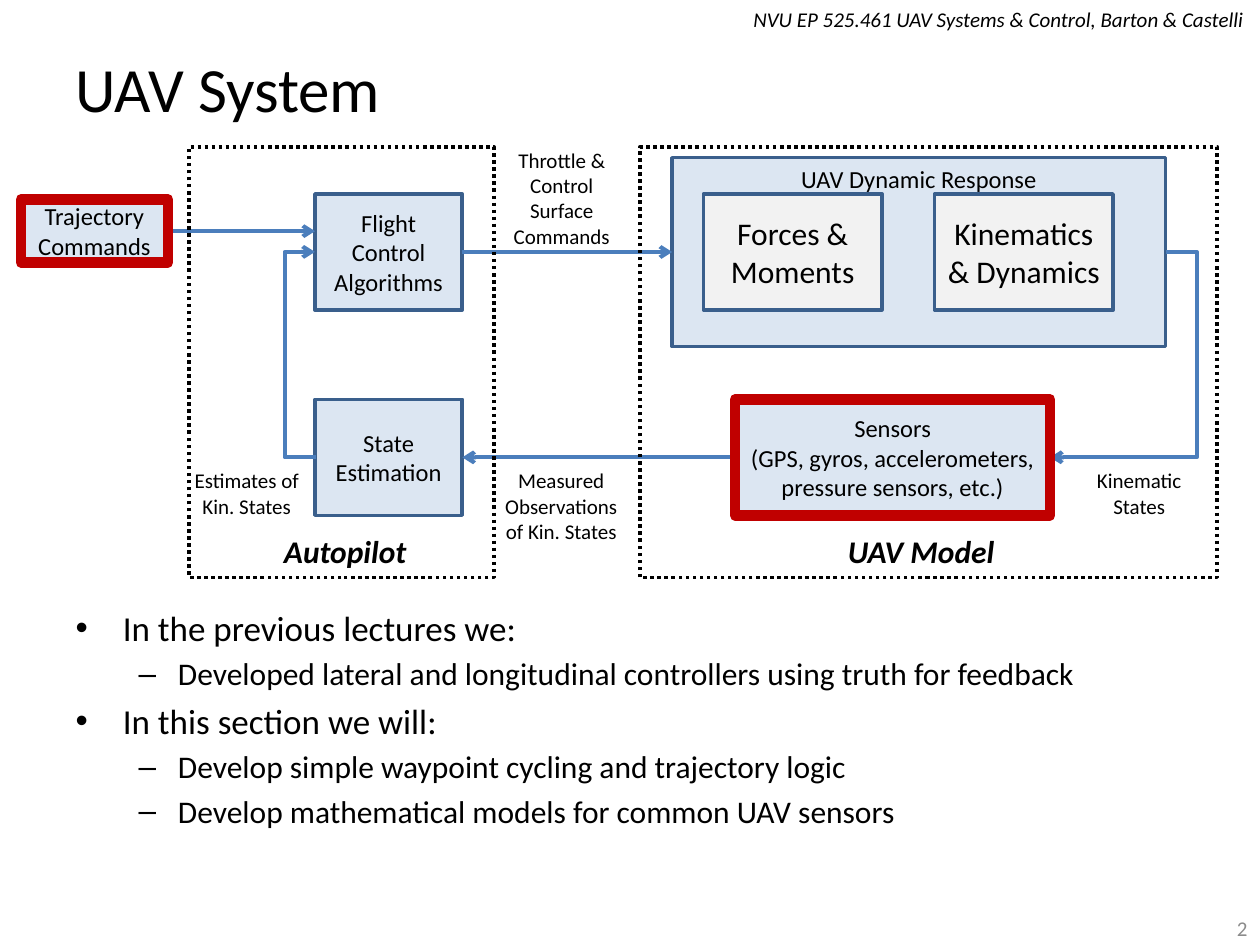
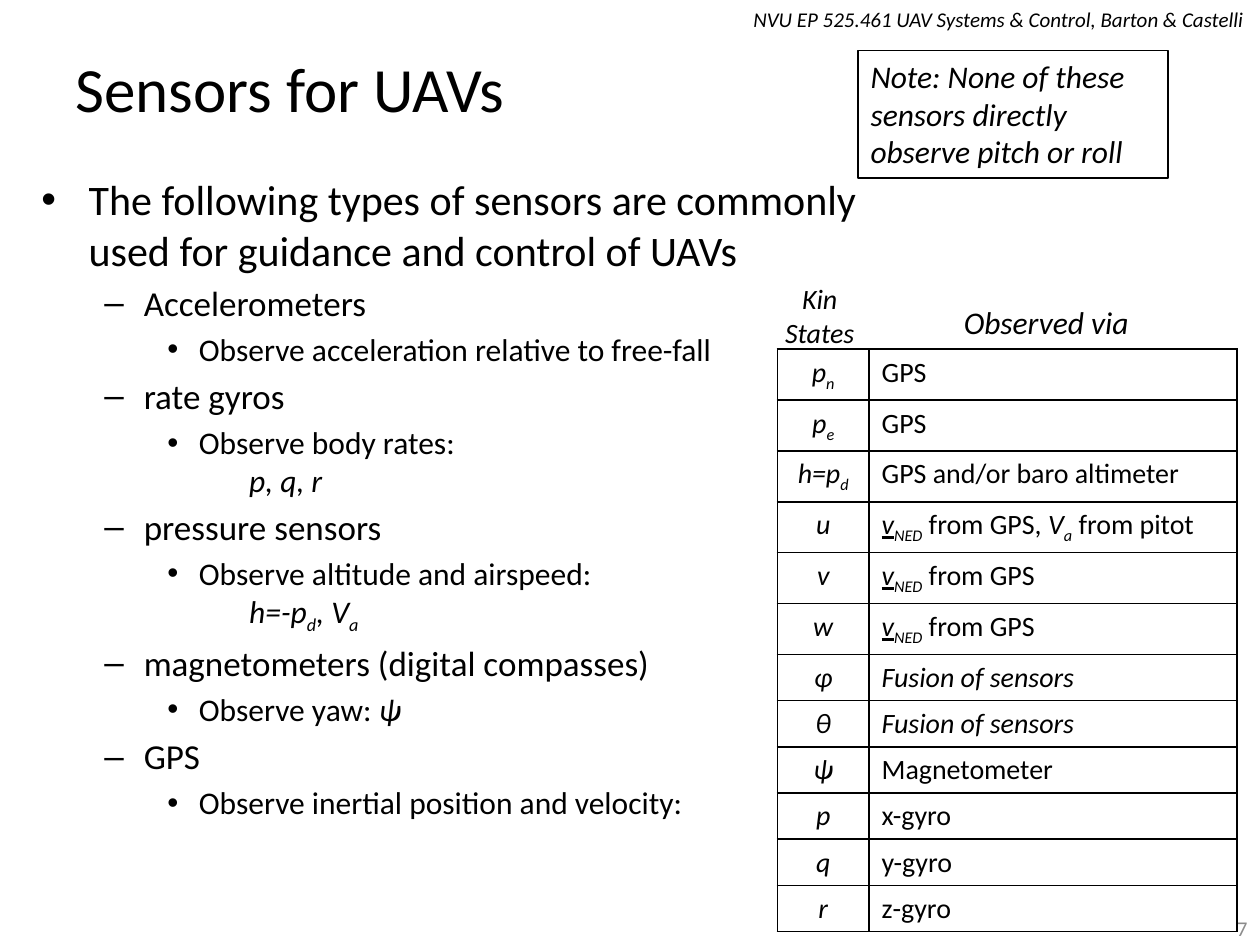
import copy

import pptx
import pptx.dml.color
import pptx.enum.dml
import pptx.enum.shapes
import pptx.enum.text
import pptx.oxml.ns
import pptx.util
from lxml import etree

Cm = pptx.util.Cm
Pt = pptx.util.Pt
qn = pptx.oxml.ns.qn
ALIGN = pptx.enum.text.PP_ALIGN
ANCHOR = pptx.enum.text.MSO_ANCHOR
CONNECTOR = pptx.enum.shapes.MSO_CONNECTOR

# Shared look
FONT = "Calibri"
BLACK, GREY = "000000", "8C8C8C"
BLOCK_FILL, INNER_FILL = "DCE6F2", "F2F2F2"
BLOCK_LINE, ARROW, HIGHLIGHT = "3A5F8C", "4B7EBC", "C00000"
COURSE = "NVU EP 525.461 UAV Systems & Control, Barton & Castelli"

# Marked runs are (text, marks): i italic, b bold, u underlined, s subscript
V_NED = [("v", "iu"), ("NED", "is")]
V_A = [("V", "i"), ("a", "is")]


def color(hex_string):
    return pptx.dml.color.RGBColor.from_string(hex_string)


def write_runs(paragraph, content, size, marks="", font_color=BLACK):
    """Write a string, or a list of strings and marked runs."""
    pieces = [content] if isinstance(content, str) else content
    for piece in pieces:
        text, own_marks = (piece, marks) if isinstance(piece, str) else piece
        for number, line in enumerate(text.split("\n")):
            if number:
                paragraph.add_line_break()
                line_break = paragraph._p.findall(qn("a:br"))[-1]
                line_break.append(copy.deepcopy(run.font._element))
            run = paragraph.add_run()
            run.text = line
            font = run.font
            font.name, font.size = FONT, Pt(size)
            font.color.rgb = color(font_color)
            for mark, name in (("b", "bold"), ("i", "italic"), ("u", "underline")):
                if mark in own_marks:
                    setattr(font, name, True)
            if "s" in own_marks:
                font._element.set("baseline", "-25000")


def write_lines(text_frame, lines, size, marks="", align=ALIGN.LEFT, font_color=BLACK):
    for number, line in enumerate(lines):
        paragraph = text_frame.add_paragraph() if number else text_frame.paragraphs[0]
        paragraph.alignment = align
        write_runs(paragraph, line, size, marks, font_color)


def place(shape, left, top, width, height):
    shape.left, shape.top = Cm(left), Cm(top)
    shape.width, shape.height = Cm(width), Cm(height)


def add_label(slide, box, text, size, marks="", align=ALIGN.CENTER, wrap=True,
              font_color=BLACK, anchor=ANCHOR.TOP):
    label = slide.shapes.add_textbox(*map(Cm, box))
    label.text_frame.word_wrap = wrap
    label.text_frame.vertical_anchor = anchor
    write_lines(label.text_frame, [text], size, marks, align, font_color)


def add_block(slide, box, lines=(), size=14, fill=None, line=BLOCK_LINE, weight=2,
              anchor=ANCHOR.MIDDLE, align=ALIGN.CENTER, marks="", dash=None):
    block = slide.shapes.add_shape(
        pptx.enum.shapes.MSO_SHAPE.RECTANGLE, *map(Cm, box))
    block.shadow.inherit = False
    if fill:
        block.fill.solid()
        block.fill.fore_color.rgb = color(fill)
    else:
        block.fill.background()
    block.line.color.rgb = color(line)
    block.line.width = Pt(weight)
    if dash:
        block.line.dash_style = dash
    block.text_frame.word_wrap = True
    block.text_frame.vertical_anchor = anchor
    write_lines(block.text_frame, lines, size, marks, align)


def add_arrow(slide, start, end, via_x=None):
    """Draw a straight arrow, or an elbow that turns at via_x."""
    kind = CONNECTOR.STRAIGHT if via_x is None else CONNECTOR.ELBOW
    arrow = slide.shapes.add_connector(kind, *map(Cm, start + end))
    arrow.line.color.rgb = color(ARROW)
    arrow.line.width = Pt(2.25)
    properties = arrow._element.spPr
    etree.SubElement(properties.find(qn("a:ln")), qn("a:tailEnd"), type="arrow")
    etree.SubElement(properties, qn("a:effectLst"))
    if via_x is not None:
        bend = round(100000 * (via_x - start[0]) / (end[0] - start[0]))
        adjustments = properties.find(qn("a:prstGeom")).find(qn("a:avLst"))
        etree.SubElement(adjustments, qn("a:gd"), name="adj1", fmla=f"val {bend}")


def add_slide(presentation, title, page):
    """Add a slide with the course line, title and page number."""
    slide = presentation.slides.add_slide(presentation.slide_layouts[1])
    add_label(slide, (14.91, 0, 10.44, 0.76), COURSE, 12, "i", wrap=False)
    place(slide.shapes.title, 1.27, 0.76, 22.86, 1.98)
    frame = slide.shapes.title.text_frame
    frame.vertical_anchor = ANCHOR.MIDDLE
    write_lines(frame, [title], 36)
    add_label(slide, (19.61, 18.36, 5.79, 0.69), page, 12, align=ALIGN.RIGHT,
              font_color=GREY, anchor=ANCHOR.MIDDLE)
    return slide


def fill_body(slide, box, items, sizes):
    """Fill the list; a level of None continues the item above without a bullet."""
    body = slide.placeholders[1]
    place(body, *box)
    frame = body.text_frame
    frame.auto_size = pptx.enum.text.MSO_AUTO_SIZE.NONE
    for number, (level, content) in enumerate(items):
        paragraph = frame.add_paragraph() if number else frame.paragraphs[0]
        if level is None:
            paragraph.level = len(sizes) - 1
            paragraph.space_before = Pt(0)
            properties = paragraph._p.get_or_add_pPr()
            properties.set("marL", str(Cm(4.19)))
            properties.set("indent", "0")
            etree.SubElement(properties, qn("a:buNone"))
        else:
            paragraph.level = level
        write_runs(paragraph, content, sizes[paragraph.level])


def set_borders(cell):
    properties = cell._tc.get_or_add_tcPr()
    for side in ("lnL", "lnR", "lnT", "lnB"):
        border = etree.SubElement(properties, qn(f"a:{side}"), w=str(Pt(1)))
        fill = etree.SubElement(border, qn("a:solidFill"))
        etree.SubElement(fill, qn("a:srgbClr"), val=BLACK)


def add_state_table(slide, left, top, widths, row_height, rows):
    frame = slide.shapes.add_table(len(rows), len(widths), Cm(left), Cm(top),
                                   Cm(sum(widths)), Cm(row_height * len(rows)))
    table = frame.table
    table.first_row = table.horz_banding = False
    for column, width in zip(table.columns, widths):
        column.width = Cm(width)
    for row_number, row in enumerate(rows):
        table.rows[row_number].height = Cm(row_height)
        for column_number, content in enumerate(row):
            cell = table.cell(row_number, column_number)
            set_borders(cell)
            cell.fill.background()
            is_state = column_number == 0
            write_lines(cell.text_frame, [content], 16, "i" if is_state else "",
                        ALIGN.CENTER if is_state else ALIGN.LEFT)


def build_system_slide(presentation):
    slide = add_slide(presentation, "UAV System", "2")
    fill_body(slide, (1.27, 12.09, 22.86, 6.5), [
        (0, "In the previous lectures we:"),
        (1, "Developed lateral and longitudinal controllers using truth for feedback"),
        (0, "In this section we will:"),
        (1, "Develop simple waypoint cycling and trajectory logic"),
        (1, "Develop mathematical models for common UAV sensors"),
    ], (20, 18))

    # Rows and boxes of the control loop
    upper, lower, height = 3.91, 8.05, 2.34
    upper_middle, lower_middle = 5.08, 9.22
    trajectory = (0.42, 4.02, 2.97, 1.27)
    sensors = (14.82, lower, 6.35, height)

    # Functional blocks
    add_block(slide, (6.35, upper, 2.97, height), ["Flight Control Algorithms"],
              fill=BLOCK_FILL)
    add_block(slide, (13.55, 3.18, 9.95, 3.81), ["UAV Dynamic Response"],
              fill=BLOCK_FILL, anchor=ANCHOR.TOP)
    add_block(slide, sensors,
              ["Sensors", "(GPS, gyros, accelerometers, pressure sensors, etc.)"],
              fill=BLOCK_FILL)
    add_block(slide, (6.35, lower, 2.97, height), ["State Estimation"],
              fill=BLOCK_FILL)
    add_block(slide, trajectory, ["Trajectory Commands"], fill=BLOCK_FILL)
    for left, text in ((14.18, "Forces & Moments"), (18.84, "Kinematics & Dynamics")):
        add_block(slide, (left, upper, 3.6, height), [text], 18, INNER_FILL)

    # Signal flow
    add_arrow(slide, (9.32, upper_middle), (13.55, upper_middle))
    add_arrow(slide, (3.39, 4.66), (6.35, 4.66))
    add_arrow(slide, (23.5, upper_middle), (21.17, lower_middle), via_x=24.13)
    add_arrow(slide, (14.82, lower_middle), (9.32, lower_middle))
    add_arrow(slide, (6.38, lower_middle), (6.35, upper_middle), via_x=5.74)

    # Signal names
    for box, text in (
        ((9.95, 2.85, 2.75, 2.31), "Throttle & Control Surface Commands"),
        ((21.59, 9.31, 2.75, 1.27), "Kinematic States"),
        ((9.83, 9.31, 2.97, 1.8), "Measured Observations of Kin. States"),
        ((3.6, 9.31, 2.75, 1.27), "Estimates of Kin. States"),
    ):
        add_label(slide, box, text, 12)

    # Dotted subsystem frames and their names
    for left, width, name, name_left, name_width in (
        (3.81, 6.15, "Autopilot", 5.46, 3),
        (12.9, 11.64, "UAV Model", 16.82, 3.5),
    ):
        add_block(slide, (left, 2.96, width, 8.68), line=BLACK,
                  dash=pptx.enum.dml.MSO_LINE.ROUND_DOT)
        add_label(slide, (name_left, 10.6, name_width, 1.02), name, 18, "bi", wrap=False)

    # Topics of this section
    for box in (trajectory, sensors):
        add_block(slide, box, line=HIGHLIGHT, weight=6)


def build_sensors_slide(presentation):
    slide = add_slide(presentation, "Sensors for UAVs", "7")
    fill_body(slide, (0.58, 3.38, 22.86, 13.97), [
        (0, "The following types of sensors are commonly\n"
            "used for guidance and control of UAVs"),
        (1, "Accelerometers"),
        (2, "Observe acceleration relative to free-fall"),
        (1, "rate gyros"),
        (2, "Observe body rates:"),
        (None, [("p, q, r", "i")]),
        (1, "pressure sensors"),
        (2, "Observe altitude and airspeed:"),
        (None, [("h=-p", "i"), ("d", "is"), (", ", "i")] + V_A),
        (1, "magnetometers (digital compasses)"),
        (2, ["Observe yaw: ", ("ψ", "i")]),
        (1, "GPS"),
        (2, "Observe inertial position and velocity:"),
    ], (24, 20, 18))

    add_block(slide, (17.3, 1.02, 6.25, 2.57),
              ["Note: None of these sensors directly observe pitch or roll"], 18,
              line=BLACK, weight=0.75, anchor=ANCHOR.TOP, align=ALIGN.LEFT, marks="i")

    # Kinematic states and the sensors that observe them
    fusion = [("Fusion of sensors", "i")]
    add_state_table(slide, 15.67, 7.04, (1.85, 7.42), 0.86, [
        (["p", ("n", "is")], "GPS"),
        (["p", ("e", "is")], "GPS"),
        (["h=p", ("d", "is")], "GPS and/or baro altimeter"),
        ("u", V_NED + [" from GPS, "] + V_A + [" from pitot"]),
        ("v", V_NED + [" from GPS"]),
        ("w", V_NED + [" from GPS"]),
        ("φ", fusion),
        ("θ", fusion),
        ("ψ", "Magnetometer"),
        ("p", "x-gyro"),
        ("q", "y-gyro"),
        ("r", "z-gyro"),
    ])
    add_label(slide, (19.18, 5.99, 3.94, 1.02), "Observed via", 18, "i", ALIGN.LEFT)
    add_label(slide, (15.42, 5.56, 2.21, 1.63), "Kin States", 16, "i")


def main():
    presentation = pptx.Presentation()
    presentation.slide_width, presentation.slide_height = Cm(25.4), Cm(19.05)
    build_system_slide(presentation)
    build_sensors_slide(presentation)
    presentation.save("out.pptx")


if __name__ == "__main__":
    main()
